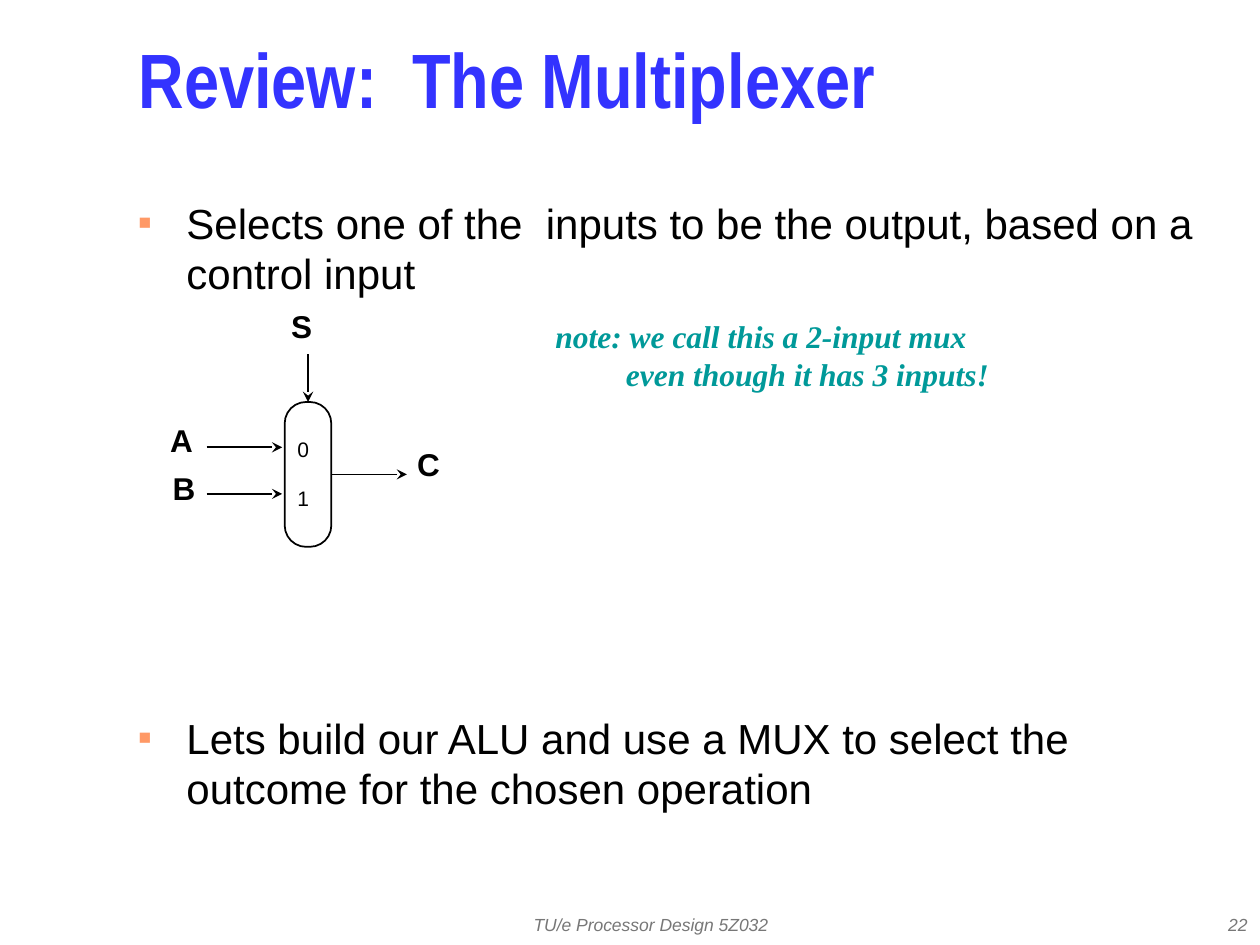
"""Build a slide that reviews the two-input multiplexer."""
from dataclasses import dataclass

from lxml import etree
from pptx import Presentation
from pptx import util as u
from pptx.dml.color import RGBColor
from pptx.enum import shapes, text
from pptx.oxml import ns

COLUMNS, ROWS = 100, 75
WIDTH, HEIGHT = u.Inches(10), u.Inches(7.5)


@dataclass(frozen=True)
class Theme:
    """Colours, fonts and type sizes."""
    title: str = "3333FF"
    ink: str = "000000"
    bullet: str = "FF9966"
    note: str = "009999"
    footer: str = "777777"
    paper: str = "FFFFFF"
    sans: str = "Arial"
    narrow: str = "Arial Narrow"
    serif: str = "Times New Roman"
    title_size: int = 44
    body_size: int = 24
    label_size: int = 18
    digit_size: int = 12
    footer_size: int = 10


THEME = Theme()
ALIGN = text.PP_ALIGN
MIDDLE = text.MSO_ANCHOR.MIDDLE

TITLE = "Review:  The Multiplexer"
BULLETS = [
    "Selects one of the  inputs to be the output, based on a control input",
    "Lets build our ALU and use a MUX to select the\voutcome for the chosen operation",
]
NOTE = ["note: we call this a 2-input mux", "even though it has 3 inputs!"]
FOOTERS = [
    ("TU/e Processor Design 5Z032", (35.8, 71.7, 31.7, 3.3), ALIGN.CENTER),
    ("22", (79.2, 71.7, 20.8, 3.3), ALIGN.RIGHT),
]
MUX = (22.6, 31.9, 3.7, 11.5)
SIGNALS = [("S", 22.9, 23.3), ("C", 32.9, 34.3), ("A", 13.3, 32.4), ("B", 13.5, 36.2)]
DIGITS = [("0", 23.4, 34.4), ("1", 23.4, 38.3)]
INPUT_ROWS = [35.5, 39.2]
ARROW_LENGTH = 6
SELECT_TOP = 28.1


def across(columns):
    return round(WIDTH * columns / COLUMNS)


def down(rows):
    return round(HEIGHT * rows / ROWS)


def place(area):
    left, top, width, height = area
    return across(left), down(top), across(width), down(height)


def write(box, lines, *, size, color, font=THEME.sans, bold=False, italic=False,
          align=ALIGN.LEFT, anchor=text.MSO_ANCHOR.TOP, spacing=None, gap=0,
          inset=(0.1, 0.05), bullet=None, indents=()):
    frame = box.text_frame
    frame.word_wrap = True
    frame.auto_size = text.MSO_AUTO_SIZE.NONE
    frame.vertical_anchor = anchor
    frame.margin_left = frame.margin_right = u.Inches(inset[0])
    frame.margin_top = frame.margin_bottom = u.Inches(inset[1])
    for index, line in enumerate(lines):
        para = frame.add_paragraph() if index else frame.paragraphs[0]
        para.text = line
        if bullet:
            add_bullet(para, bullet)
        if indents:
            para._p.get_or_add_pPr().set("marL", str(u.Inches(indents[index])))
        para.alignment = align
        para.space_before = u.Pt(gap if index else 0)
        if spacing:
            para.line_spacing = spacing
        for span in para.runs:
            span.font.size = u.Pt(size)
            span.font.name = font
            span.font.bold = bold
            span.font.italic = italic
            span.font.color.rgb = RGBColor.from_string(color)
    return box


def add_bullet(para, color):
    properties = para._p.get_or_add_pPr()
    properties.set("marL", str(u.Inches(0.38)))
    properties.set("indent", str(u.Inches(-0.38)))
    holder = etree.SubElement(properties, ns.qn("a:buClr"))
    etree.SubElement(holder, ns.qn("a:srgbClr"), val=color)
    etree.SubElement(properties, ns.qn("a:buSzPct"), val="50000")
    etree.SubElement(properties, ns.qn("a:buFont"), typeface=THEME.sans)
    etree.SubElement(properties, ns.qn("a:buChar"), char="■")


def add_text(page, lines, area, **style):
    return write(page.shapes.add_textbox(*place(area)), lines, **style)


def add_mux(page):
    mux = page.shapes.add_shape(shapes.MSO_SHAPE.ROUNDED_RECTANGLE, *place(MUX))
    mux.adjustments[0] = 0.46
    mux.shadow.inherit = False
    mux.fill.solid()
    mux.fill.fore_color.rgb = RGBColor.from_string(THEME.paper)
    mux.line.color.rgb = RGBColor.from_string(THEME.ink)
    mux.line.width = u.Pt(1)
    return mux


def add_arrow(page, start, end):
    arrow = page.shapes.add_connector(
        shapes.MSO_CONNECTOR.STRAIGHT,
        across(start[0]), down(start[1]), across(end[0]), down(end[1]))
    arrow.line.color.rgb = RGBColor.from_string(THEME.ink)
    arrow.line.width = u.Pt(1)
    etree.SubElement(arrow.line._get_or_add_ln(), ns.qn("a:tailEnd"), type="stealth")
    etree.SubElement(arrow._element.spPr, ns.qn("a:effectLst"))
    return arrow


def add_diagram(page):
    mux = add_mux(page)
    left, top, width, height = MUX
    for row in INPUT_ROWS:
        add_arrow(page, (left - 0.2 - ARROW_LENGTH, row), (left - 0.2, row))
    center, middle, right = left + width / 2, top + height / 2, left + width
    add_arrow(page, (center, SELECT_TOP), (center, top)).end_connect(mux, 0)
    add_arrow(page, (right, middle), (right + ARROW_LENGTH, middle)).begin_connect(mux, 3)
    for name, column, row in SIGNALS:
        add_text(page, [name], (column, row, 6.3, 6.7), size=THEME.label_size,
                 color=THEME.ink, bold=True, spacing=u.Pt(27), inset=(0.02, 0.03))
    for digit, column, row in DIGITS:
        add_text(page, [digit], (column, row, 5.5, 3.3), size=THEME.digit_size,
                 color=THEME.ink, spacing=u.Pt(14), inset=(0.02, 0.03))


def main():
    deck = Presentation()
    deck.slide_width, deck.slide_height = WIDTH, HEIGHT
    page = deck.slides.add_slide(deck.slide_layouts[1])
    title, body = page.placeholders
    title.left, title.top, title.width, title.height = place((10, 1.7, 85.8, 10.8))
    body.left, body.top, body.width, body.height = place((10, 15.2, 85.8, 51.7))
    write(title, [TITLE], size=THEME.title_size, color=THEME.title, font=THEME.narrow,
          bold=True, anchor=MIDDLE, spacing=0.7)
    write(body, BULLETS, size=THEME.body_size, color=THEME.ink,
          spacing=u.Pt(28.6), gap=237, bullet=THEME.bullet)
    add_diagram(page)
    add_text(page, NOTE, (43.1, 24.7, 40, 7), size=THEME.label_size, color=THEME.note,
             font=THEME.serif, bold=True, italic=True, indents=(0, 0.56))
    for label, area, align in FOOTERS:
        add_text(page, [label], area, size=THEME.footer_size, color=THEME.footer,
                 italic=True, align=align, anchor=MIDDLE)
    deck.save("out.pptx")


if __name__ == "__main__":
    main()
